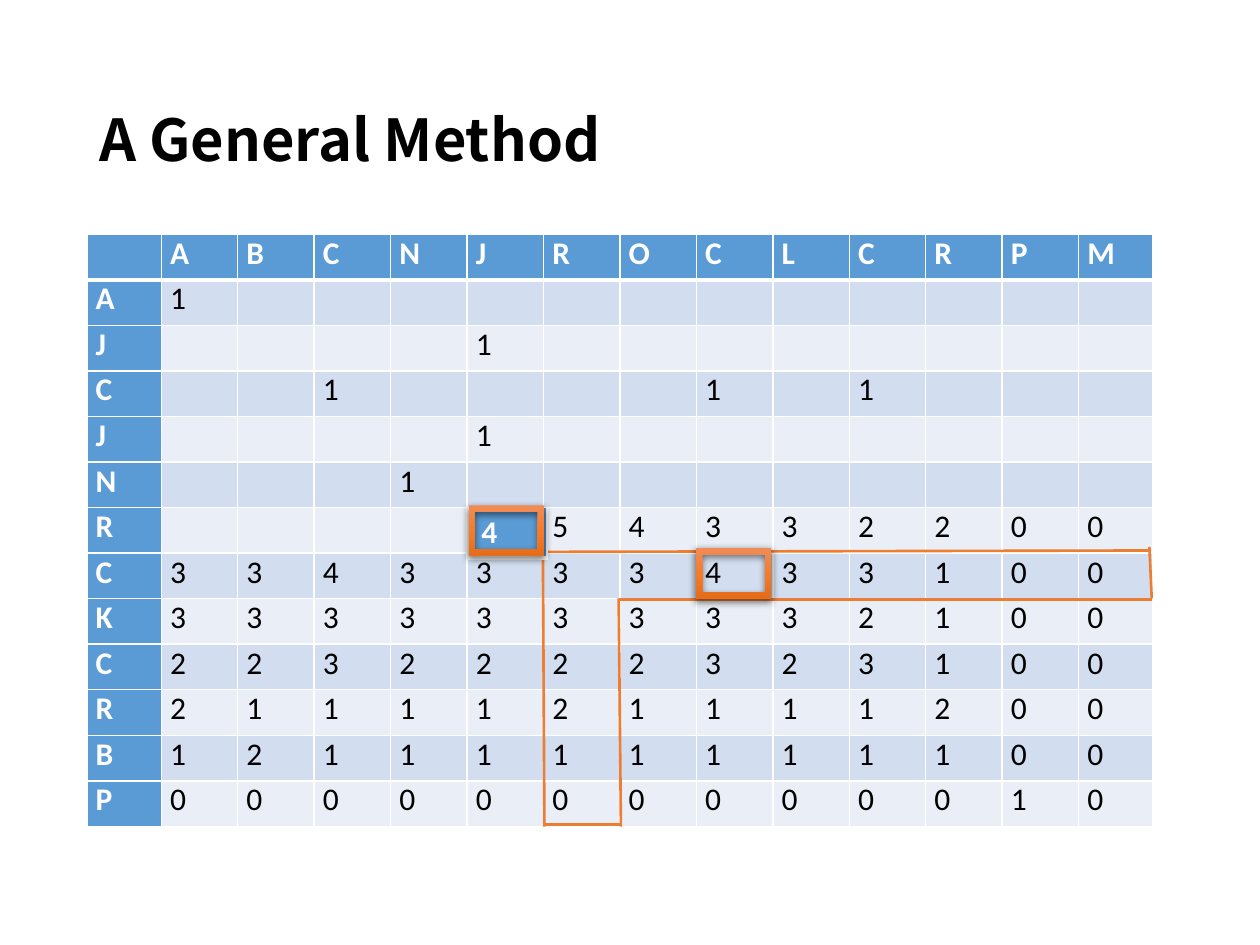
"""Build the alignment-matrix slide with its traced row, column and best cells."""
from typing import NamedTuple

from lxml import etree
from pptx import Presentation
from pptx import util as u
from pptx.dml.color import RGBColor
from pptx.enum import shapes, text
from pptx.oxml import parse_xml
from pptx.oxml.ns import qn

WHITE = RGBColor(0xFF, 0xFF, 0xFF)
BLACK = RGBColor(0x00, 0x00, 0x00)
BLUE = RGBColor(0x5B, 0x9B, 0xD5)
BANDS = (RGBColor(0xD2, 0xDE, 0xEF), RGBColor(0xEA, 0xEF, 0xF7))
ORANGE = RGBColor(0xED, 0x7D, 0x31)
FRAME_STOPS = (
    (0, RGBColor(0xF1, 0x8C, 0x57)),
    (50, RGBColor(0xF6, 0x7B, 0x28)),
    (100, RGBColor(0xE5, 0x6C, 0x19)),
)
A_NS = 'xmlns:a="http://schemas.openxmlformats.org/drawingml/2006/main"'

LEFT, TOP, EDGE_COL, COL, ROW = 0.69, 1.86, 0.59, 0.607, 4.7 / 13

HEADER = " ABCNJROCLCRPM"
MATRIX = (
    "A1            ",
    "J    1        ",
    "C  1    1 1   ",
    "J    1        ",
    "N   1         ",
    "R     54332200",
    "C3343333433100",
    "K3333333332100",
    "C2232222323100",
    "R2111121111200",
    "B1211111111100",
    "P0000000000010",
)


class Trace(NamedTuple):
    """A line between two points given in columns and rows."""
    c1: float
    r1: float
    c2: float
    r2: float


class Mark(NamedTuple):
    """The top left corner of a frame in columns and rows."""
    col: float
    row: float


TRACES = (
    Trace(6.02, 6.97, 13.92, 6.94),
    Trace(5.99, 6.97, 6.01, 13),
    Trace(6.98, 8.02, 13.95, 8.02),
    Trace(13.92, 6.86, 13.95, 7.99),
    Trace(6.98, 7.99, 7.01, 13),
    Trace(6.02, 12.95, 7.01, 12.95),
)
BEST_ROW_CELL = Mark(7.99, 6.89)
NEW_CELL = Mark(5.02, 5.95)


def grid_x(col: float) -> int:
    """Return the left edge of a grid column."""
    return u.Inches(LEFT + EDGE_COL + (col - 1) * COL)


def grid_y(row: float) -> int:
    """Return the top edge of a grid row."""
    return u.Inches(TOP + row * ROW)


def style_cell(cell, value: str, fill: RGBColor, head: bool, bottom: float) -> None:
    """Write a cell with its white borders and fill."""
    props = cell._tc.get_or_add_tcPr()
    for side, width in (("L", 1), ("R", 1), ("T", 1), ("B", bottom)):
        props.append(parse_xml(
            f'<a:ln{side} {A_NS} w="{u.Pt(width)}"><a:solidFill>'
            f'<a:srgbClr val="{WHITE}"/></a:solidFill></a:ln{side}>'))
    cell.fill.solid()
    cell.fill.fore_color.rgb = fill
    cell.text_frame.text = value.strip()
    p = cell.text_frame.paragraphs[0]
    for font in [p.font] + [r.font for r in p.runs]:
        font.name, font.size, font.bold = "Calibri", u.Pt(18), head
        font.color.rgb = WHITE if head else BLACK


def add_title(slide, title: str, width: int, height: int) -> None:
    """Add the slide title."""
    box = slide.shapes.add_textbox(u.Inches(LEFT), int(height * 0.055),
                                   int(width * 0.862), int(height * 0.193))
    tf = box.text_frame
    tf.word_wrap = True
    tf.vertical_anchor = text.MSO_ANCHOR.MIDDLE
    tf.text = title
    p = tf.paragraphs[0]
    p.line_spacing = 0.9
    font = p.runs[0].font
    font.name, font.size, font.bold = "Noto Sans CJK KR", u.Pt(33), True
    font.color.rgb = BLACK


def add_matrix(slide) -> None:
    """Add the banded score matrix."""
    rows = (HEADER,) + MATRIX
    count = len(HEADER)
    widths = [EDGE_COL] + [COL] * (count - 2) + [EDGE_COL]
    table = slide.shapes.add_table(
        len(rows), count, u.Inches(LEFT), u.Inches(TOP),
        u.Inches(sum(widths)), u.Inches(ROW * len(rows))).table
    table.first_col = True
    for column, width in zip(table.columns, widths):
        column.width = u.Inches(width)
    for i, values in enumerate(rows):
        table.rows[i].height = u.Inches(ROW)
        for j, value in enumerate(values):
            cell = table.cell(i, j)
            cell.margin_left = cell.margin_right = u.Inches(0.07)
            cell.margin_top = cell.margin_bottom = 0
            head = i == 0 or j == 0
            fill = BLUE if head else BANDS[(i - 1) % 2]
            style_cell(cell, value, fill, head, 1 if i else 3)


def add_new_score(slide, mark: Mark, value: str) -> None:
    """Add the one-cell table holding the newly computed score."""
    table = slide.shapes.add_table(1, 1, grid_x(mark.col), grid_y(6),
                                   u.Inches(0.62), u.Inches(0.32)).table
    style_cell(table.cell(0, 0), value, BLUE, True, 3)


def add_trace(slide, trace: Trace) -> None:
    """Add one orange line of the searched region."""
    line = slide.shapes.add_connector(
        shapes.MSO_CONNECTOR.STRAIGHT, grid_x(trace.c1), grid_y(trace.r1),
        grid_x(trace.c2), grid_y(trace.r2))
    line.line.color.rgb = ORANGE
    line.line.width = u.Pt(1.5)
    etree.SubElement(line._element.spPr, qn("a:effectLst"))


def add_frame(slide, mark: Mark) -> None:
    """Add a gradient frame with a soft shadow around a cell."""
    sp = slide.shapes.add_shape(shapes.MSO_SHAPE.FRAME, grid_x(mark.col),
                                grid_y(mark.row), u.Inches(0.6), u.Inches(0.4))
    stops = "".join(f'<a:gs pos="{pos * 1000}"><a:srgbClr val="{color}"/></a:gs>'
                    for pos, color in FRAME_STOPS)
    for xml in (
        f'<a:gradFill {A_NS}><a:gsLst>{stops}</a:gsLst>'
        '<a:lin ang="5400000" scaled="0"/></a:gradFill>',
        f'<a:ln {A_NS}><a:noFill/></a:ln>',
        f'<a:effectLst {A_NS}><a:outerShdw blurRad="{u.Pt(4.5)}" '
        f'dist="{u.Pt(1.5)}" dir="5400000" rotWithShape="0">'
        f'<a:srgbClr val="{BLACK}"><a:alpha val="63000"/></a:srgbClr>'
        '</a:outerShdw></a:effectLst>',
    ):
        sp._element.spPr.append(parse_xml(xml))


def main() -> None:
    """Build and save the slide."""
    prs = Presentation()
    prs.slide_width, prs.slide_height = u.Inches(10), u.Inches(7.5)
    slide = prs.slides.add_slide(prs.slide_layouts[6])
    add_title(slide, "A General Method", prs.slide_width, prs.slide_height)
    add_matrix(slide)
    for trace in TRACES:
        add_trace(slide, trace)
    add_frame(slide, BEST_ROW_CELL)
    add_new_score(slide, NEW_CELL, "4")
    add_frame(slide, NEW_CELL)
    prs.save("out.pptx")


if __name__ == "__main__":
    main()
